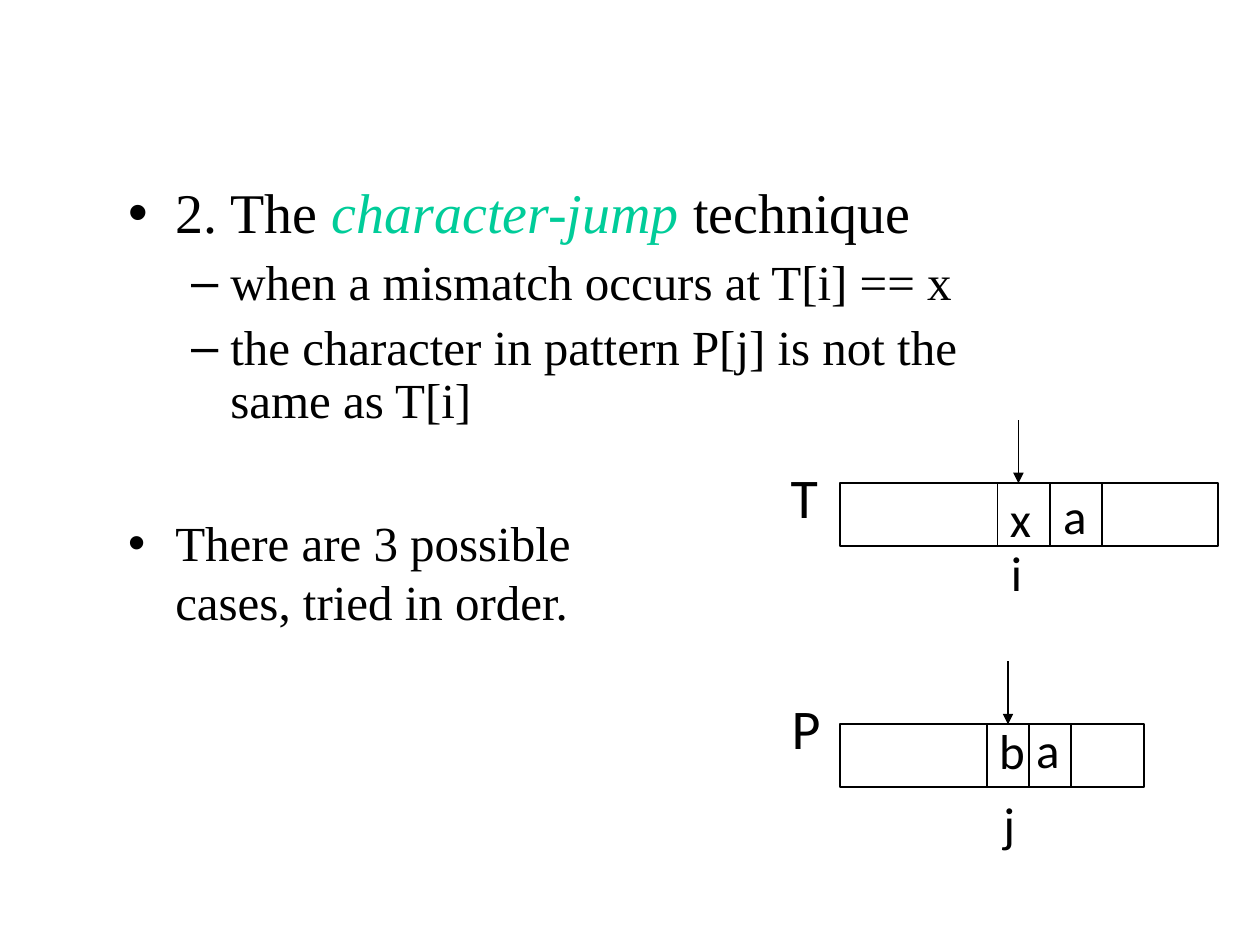
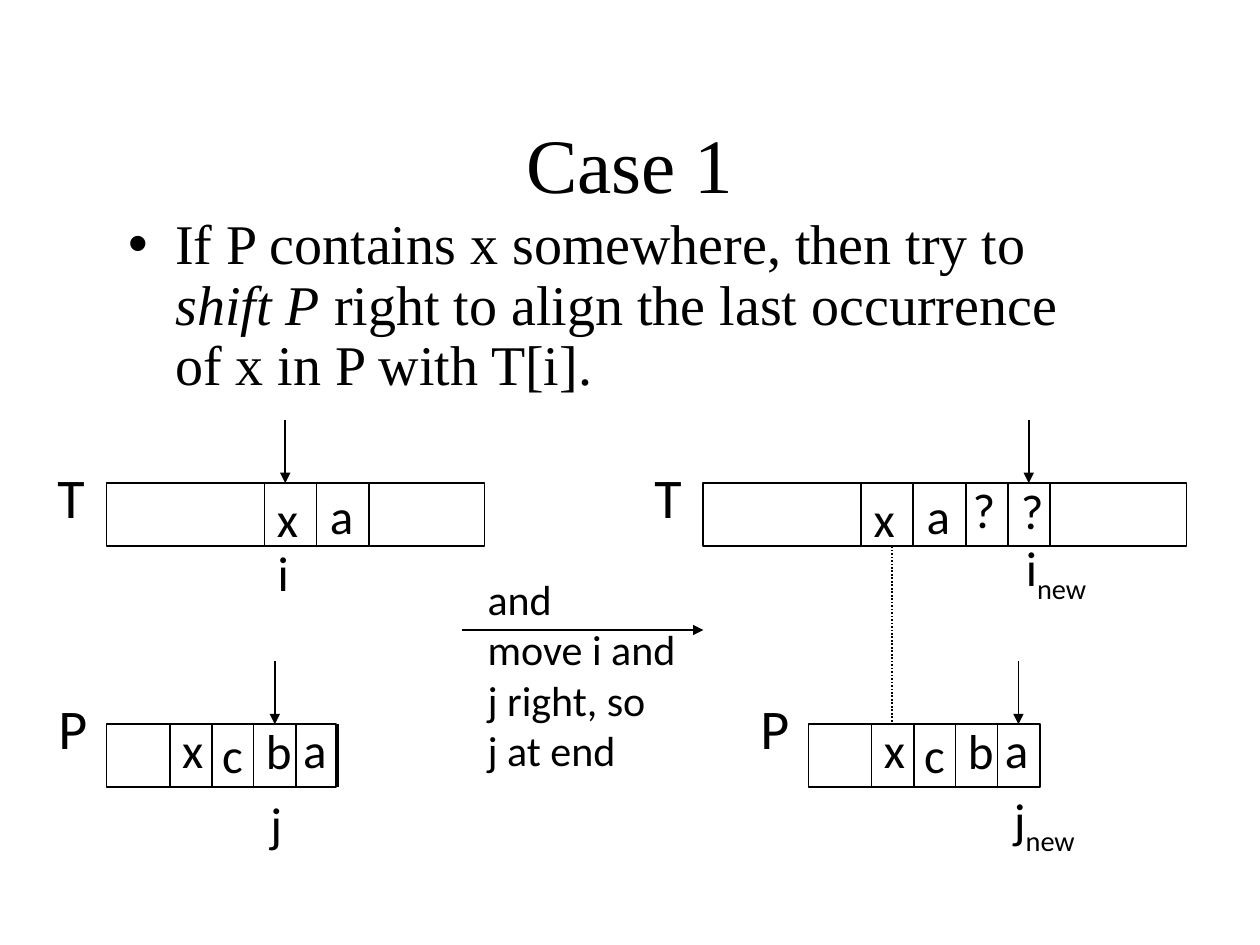
from pptx import Presentation
from pptx import util as u
from pptx.dml.color import RGBColor
from pptx.enum import dml, shapes, text
from pptx.oxml.ns import qn
from lxml import etree

HUES = {"ink": "000000", "jade": "00CC99"}
SERIF, SANS = "Times New Roman", "Calibri"
ROW = {"T": 9.74, "P": 14.6}
TALL = 1.27
WIDE = {"x": 0.94, "a": 0.97, "b": 1.02, "c": 0.91, "?": 0.97,
        "T": 1.04, "P": 1.09, "i": 0.74, "j": 0.74}
NAME = {"T": (-1.24, -0.56), "P": (-1.22, -0.76)}
INDENT = [(0.95, -0.95), (2.06, -0.79)]

T_CUTS = [3.18, 4.23, 5.29]
T_MARKS = [("x", 3.18, -0.03), ("a", 4.25, -0.08)]
P_CUTS = [2.96, 3.81, 4.66]
P_MARKS = [("b", 2.96, -0.2), ("a", 3.71, -0.23)]
LONG_CUTS = [1.27, 2.12] + P_CUTS
LONG_MARKS = P_MARKS + [("x", 1.27, -0.23), ("c", 2.08, -0.13)]
ASK_CUTS = T_CUTS + [6.14, 6.98]
ASK_MARKS = T_MARKS + [("?", 5.18, -0.21), ("?", 6.15, -0.18)]

T_OLD = {"name": "T", "wide": 7.62, "cuts": T_CUTS, "marks": T_MARKS,
         "arrow": 3.6, "index": ("i", "", 3.2, 1.06)}
P_OLD = {"name": "P", "wide": 6.14, "cuts": P_CUTS, "marks": P_MARKS,
         "arrow": 3.39, "index": ("j", "", 3.05, 1.27)}
P_LONG = {**P_OLD, "wide": 4.62, "cuts": LONG_CUTS, "marks": LONG_MARKS}
T_NEW = {"name": "T", "wide": 9.74, "cuts": ASK_CUTS, "marks": ASK_MARKS,
         "arrow": 6.56, "index": ("i", "new", 6.25, 0.98)}
P_NEW = {**P_LONG, "wide": 4.66, "arrow": 4.23,
         "index": ("j", "new", 3.89, 1.2)}

SLIDES = [
    {"title": None,
     "box": (2.33, 3.6, 21.6, 11.43),
     "list": [
         (0, 32, 0, 0.9, [("2. The ", {}),
                          ("character-jump", {"hue": "jade", "italic": True}),
                          (" technique", {})]),
         (1, 28, 7, 0.9, [("when a mismatch occurs at T[i] == x", {})]),
         (1, 28, 7, 0.9, [("the character in pattern P[j] is not the\nsame as T[i]", {})]),
         (0, 28, 48, 1.0, [("There are 3 possible\ncases, tried in order.", {})])],
     "strips": [(16.93, T_OLD), (16.93, P_OLD)]},
    {"title": "Case 1",
     "box": (2.33, 4.23, 21.6, 4.45),
     "list": [
         (0, 32, 0, 0.9, [("If P contains x somewhere, then try to\n", {}),
                          ("shift P", {"italic": True}),
                          (" right to align the last occurrence\nof x in P with T[i].", {})])],
     "strips": [(2.15, T_OLD), (2.15, P_LONG), (14.18, T_NEW), (16.3, P_NEW)],
     "dots": (17.99, 11.01, 17.99, 14.6),
     "move": (9.31, 12.7, 14.18, 12.7),
     "note": ["and", "move i and", "j right, so", "j at end"]},
]
TITLE_BOX = (1.9, 1.69, 21.6, 3.18)
NOTE_BOX = (9.58, 11.43, 4.5, 4.32)


def color(hue):
    return RGBColor.from_string(HUES[hue])


def style(font, hue="ink", **form):
    font.color.rgb = color(hue)
    for key, val in form.items():
        setattr(font, key, val)


def place(shape, box):
    for key, val in zip(("left", "top", "width", "height"), box):
        setattr(shape, key, u.Cm(val))


def write(para, words, **form):
    for num, part in enumerate(words.split("\n")):
        if num:
            para.add_line_break()
        if part:
            run = para.add_run()
            run.text = part
            style(run.font, **form)
    return para.runs[-1]


def line(slide, ends, head=False, dots=False):
    link = slide.shapes.add_connector(
        shapes.MSO_CONNECTOR.STRAIGHT, *[u.Cm(e) for e in ends])
    link.line.width = u.Pt(1)
    link.line.color.rgb = color("ink")
    if dots:
        link.line.dash_style = dml.MSO_LINE.ROUND_DOT
    if head:
        etree.SubElement(link.line._get_or_add_ln(), qn("a:tailEnd"), type="triangle")
    etree.SubElement(link._element.spPr, qn("a:effectLst"))


def label(slide, box, lines, size, sub=""):
    area = slide.shapes.add_textbox(*[u.Cm(b) for b in box])
    frame = area.text_frame
    frame.word_wrap = False
    frame.vertical_anchor = text.MSO_ANCHOR.MIDDLE
    for num, words in enumerate(lines):
        para = frame.add_paragraph() if num else frame.paragraphs[0]
        form = {"name": SANS, "size": u.Pt(size)}
        write(para, words, **form)
        if sub:
            run = write(para, sub, **form)
            run.font._element.set("baseline", "-25000")


def strip(slide, left, data):
    top = ROW[data["name"]]
    bar = slide.shapes.add_shape(
        shapes.MSO_SHAPE.RECTANGLE,
        *[u.Cm(v) for v in (left, top, data["wide"], TALL)])
    bar.shadow.inherit = False
    bar.fill.background()
    bar.line.color.rgb = color("ink")
    bar.line.width = u.Pt(1)
    for cut in data["cuts"]:
        line(slide, (left + cut, top, left + cut, top + TALL))
    for mark, dx, dy in data["marks"]:
        label(slide, (left + dx, top + dy, WIDE[mark], 1.45), [mark], 28)
    name = data["name"]
    dx, dy = NAME[name]
    label(slide, (left + dx, top + dy, WIDE[name], 1.63), [name], 32)
    mid = left + data["arrow"]
    line(slide, (mid, top - TALL, mid, top), head=True)
    mark, sub, dx, dy = data["index"]
    wide, high = (1.73, 1.6) if sub else (WIDE[mark], 1.45)
    label(slide, (left + dx, top + dy, wide, high), [mark], 28, sub)


def fill(body, data):
    place(body, data["box"])
    frame = body.text_frame
    frame.auto_size = text.MSO_AUTO_SIZE.NONE
    for num, (level, size, gap, pitch, runs) in enumerate(data["list"]):
        para = frame.add_paragraph() if num else frame.paragraphs[0]
        form = {"level": level, "space_before": u.Pt(gap), "line_spacing": pitch}
        for key, val in form.items():
            setattr(para, key, val)
        props = para._p.get_or_add_pPr()
        for key, val in zip(("marL", "indent"), INDENT[level]):
            props.set(key, str(int(u.Cm(val))))
        for words, extra in runs:
            write(para, words, name=SERIF, size=u.Pt(size), **extra)


def build(deck, data):
    slide = deck.slides.add_slide(deck.slide_layouts[1])
    title, body = slide.placeholders
    if data["title"]:
        place(title, TITLE_BOX)
        title.text_frame.vertical_anchor = text.MSO_ANCHOR.MIDDLE
        para = title.text_frame.paragraphs[0]
        para.alignment = text.PP_ALIGN.CENTER
        write(para, data["title"], name=SERIF, size=u.Pt(44))
    else:
        title._element.getparent().remove(title._element)
    fill(body, data)
    for left, part in data["strips"]:
        strip(slide, left, part)
    if "dots" in data:
        line(slide, data["dots"], dots=True)
    if "move" in data:
        line(slide, data["move"], head=True)
    if "note" in data:
        label(slide, NOTE_BOX, data["note"], 24)


def main():
    deck = Presentation()
    deck.slide_width, deck.slide_height = u.Cm(25.4), u.Cm(19.05)
    for data in SLIDES:
        build(deck, data)
    deck.save("out.pptx")


if __name__ == "__main__":
    main()
